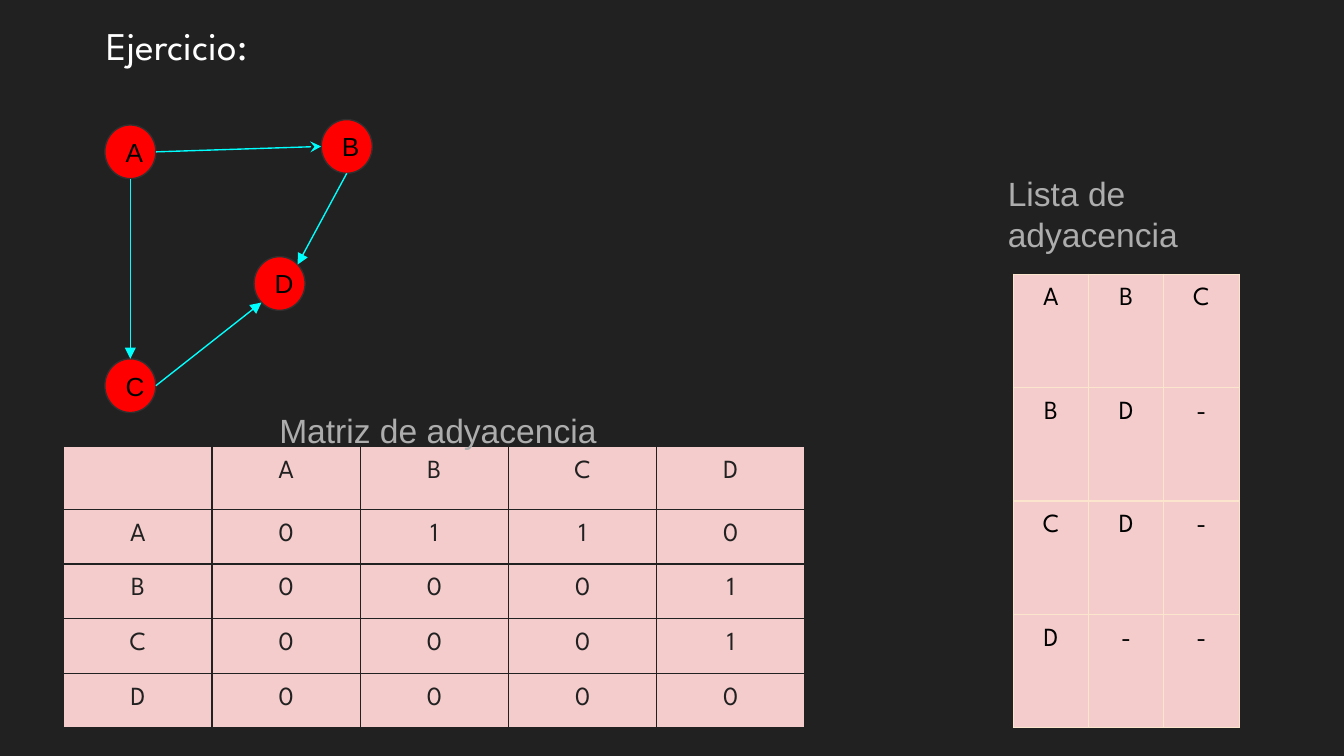
from math import cos, radians, sin

from pptx import Presentation
from pptx.dml.color import RGBColor
from pptx.enum.shapes import MSO_CONNECTOR as Connector, MSO_SHAPE as Shape
from pptx.enum.text import MSO_ANCHOR as Anchor, MSO_AUTO_SIZE as AutoSize, PP_ALIGN as Align
from pptx.oxml.ns import qn
from pptx.util import Inches, Pt
from lxml.etree import SubElement

COLORS = {
    "background": "212121",
    "node": "FF0000",
    "node_edge": "303030",
    "arrow": "00FFFF",
    "cell": "F4CCCC",
    "list_border": "FCE5CD",
    "caption": "ADADAD",
    "title": "FFFFFF",
    "black": "000000",
}
COLUMNS, ROWS = 100, 56.25
RIGHT, BOTTOM, BOTTOM_LEFT, LEFT, TOP, TOP_RIGHT = 0, 90, 135, 180, 270, 315


def rgb(name):
    return RGBColor.from_string(COLORS[name])


class GraphSlide:
    body_font = "Arial"
    display_font = "League Spartan"
    node_size = (3.8, 4)
    line_width = Pt(0.75)

    def __init__(self, deck):
        self.column = deck.slide_width / COLUMNS
        self.row = deck.slide_height / ROWS
        self.slide = deck.slides.add_slide(deck.slide_layouts[5])
        self.shapes = self.slide.shapes
        self.slide.background.fill.solid()
        self.slide.background.fill.fore_color.rgb = rgb("background")
        self.centers = {}

    def place(self, *lengths):
        steps = (self.column, self.row) * 2
        return [round(length * step) for length, step in zip(lengths, steps)]

    def set_text(self, frame, text, size, font, color, align=Align.LEFT):
        frame.text = text
        paragraph = frame.paragraphs[0]
        paragraph.alignment = align
        paragraph.font.size = Pt(size)
        paragraph.font.name = font
        paragraph.font.color.rgb = rgb(color)

    def pad(self, frame, anchor):
        frame.margin_left = frame.margin_right = Inches(0.1)
        frame.margin_top = frame.margin_bottom = Inches(0.1)
        frame.vertical_anchor = anchor
        frame.word_wrap = True
        frame.auto_size = AutoSize.NONE

    def title(self, text, *box):
        heading = self.shapes.title
        heading.left, heading.top, heading.width, heading.height = self.place(*box)
        self.pad(heading.text_frame, Anchor.TOP)
        self.set_text(heading.text_frame, text, 21, self.display_font, "title")

    def caption(self, text, *box):
        frame = self.shapes.add_textbox(*self.place(*box)).text_frame
        self.pad(frame, Anchor.TOP)
        self.set_text(frame, text, 18, self.body_font, "caption")

    def node(self, letter, left, top):
        width, height = self.node_size
        circle = self.shapes.add_shape(Shape.OVAL, *self.place(left, top, width, height))
        circle.shadow.inherit = False
        circle.fill.solid()
        circle.fill.fore_color.rgb = rgb("node")
        circle.line.color.rgb = rgb("node_edge")
        circle.line.width = self.line_width
        self.pad(circle.text_frame, Anchor.MIDDLE)
        self.set_text(circle.text_frame, letter, 14, self.body_font, "black")
        self.centers[letter] = (left + width / 2, top + height / 2)

    def rim(self, letter, angle):
        x, y = self.centers[letter]
        width, height = self.node_size
        turn = radians(angle)
        return self.place(x + width / 2 * cos(turn), y + height / 2 * sin(turn))

    def arrow(self, source, source_angle, target, target_angle, head="triangle"):
        edge = self.shapes.add_connector(
            Connector.STRAIGHT,
            *self.rim(source, source_angle),
            *self.rim(target, target_angle),
        )
        edge.line.color.rgb = rgb("arrow")
        edge.line.width = self.line_width
        outline = edge._element.spPr.find(qn("a:ln"))
        SubElement(outline, qn("a:tailEnd"), type=head)
        SubElement(edge._element.spPr, qn("a:effectLst"))

    def border(self, cell, color):
        properties = cell._tc.get_or_add_tcPr()
        for side in ("a:lnL", "a:lnR", "a:lnT", "a:lnB"):
            line = SubElement(properties, qn(side), w=str(int(self.line_width)))
            fill = SubElement(line, qn("a:solidFill"))
            SubElement(fill, qn("a:srgbClr"), val=COLORS[color])

    def table(self, lines, left, top, width, heights, text_color, border_color):
        box = self.place(left, top, width, sum(heights))
        grid = self.shapes.add_table(len(lines), len(lines[0]), *box).table
        grid.first_row = grid.horz_banding = False
        for row, height in zip(grid.rows, heights):
            row.height = round(height * self.row)
        for r, line in enumerate(lines):
            for c, text in enumerate(line):
                cell = grid.cell(r, c)
                cell.margin_left = cell.margin_right = Inches(0.1)
                cell.margin_top = cell.margin_bottom = Inches(0.1)
                self.set_text(cell.text_frame, text, 14, self.display_font,
                              text_color, Align.CENTER)
                self.border(cell, border_color)
                cell.fill.solid()
                cell.fill.fore_color.rgb = rgb("cell")


def main():
    deck = Presentation()
    deck.slide_width, deck.slide_height = Inches(10), Inches(5.625)
    exercise = GraphSlide(deck)
    exercise.title("Ejercicio:", 6.9, 0.6, 61.9, 8.3)

    nodes = {"A": (7.8, 9.3), "C": (7.8, 26.7), "D": (18.9, 19.1), "B": (23.9, 8.9)}
    for letter, corner in nodes.items():
        exercise.node(letter, *corner)

    exercise.arrow("A", RIGHT, "B", LEFT, "stealth")
    exercise.arrow("B", BOTTOM, "D", TOP_RIGHT)
    exercise.arrow("A", BOTTOM, "C", TOP)
    exercise.arrow("C", RIGHT, "D", BOTTOM_LEFT)

    neighbours = {"A": "BC", "B": "D", "C": "D", "D": ""}
    matrix = [["", *neighbours]] + [
        [source, *(str(int(target in linked)) for target in neighbours)]
        for source, linked in neighbours.items()
    ]
    adjacency = [[source, *linked.ljust(2, "-")] for source, linked in neighbours.items()]
    exercise.table(matrix, 4.75, 33.2, 55.15, [4.7] + [4.07] * 4,
                   "background", "background")
    exercise.table(adjacency, 75.4, 20.4, 16.8, [8.44] * 4, "black", "list_border")

    exercise.caption("Matriz de adyacencia", 19.8, 29.5, 35.4, 2.5)
    exercise.caption("Lista de adyacencia", 74, 11.9, 16.8, 6.8)
    deck.save("out.pptx")


if __name__ == "__main__":
    main()
